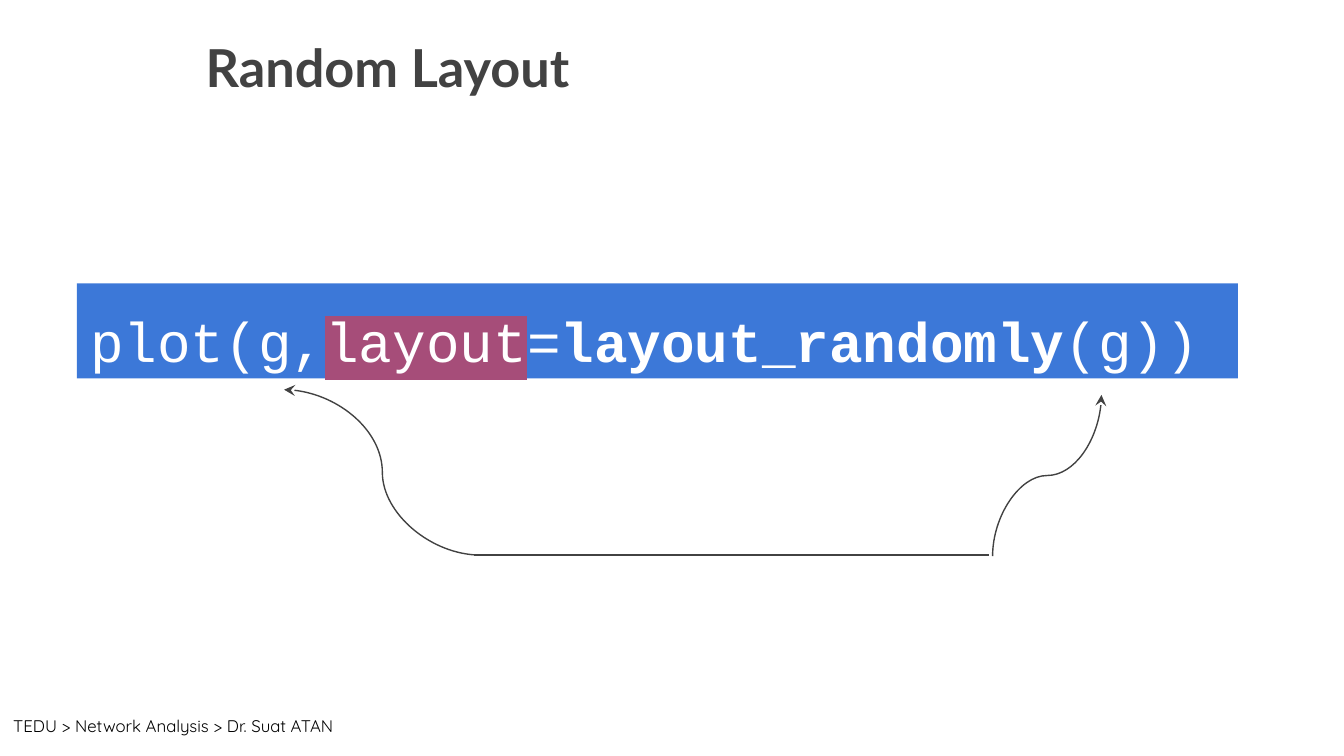
from dataclasses import dataclass

from lxml.etree import SubElement
from pptx import Presentation
from pptx.dml.color import RGBColor as RGB
from pptx.enum.shapes import MSO_CONNECTOR as LINK, MSO_SHAPE as SHAPE
from pptx.enum.text import MSO_ANCHOR as ANCHOR, PP_ALIGN as ALIGN
from pptx.oxml import parse_xml
from pptx.oxml.ns import nsdecls, qn
from pptx.util import Pt


@dataclass(frozen=True)
class Theme:
    ink: str = "424242"
    footer: str = "000000"
    code_bar: str = "3C78D8"
    code: str = "FFFFFF"
    highlight: str = "A64D79"
    title_size: float = 28
    code_size: float = 30
    footer_size: float = 9
    line_width: float = 0.75


THEME = Theme()


def write(paragraph, text, *, font, size, color, bold=False, highlight=None):
    """Append one formatted run to the paragraph."""
    run = paragraph.add_run()
    run.text = text
    run.font.name = font
    run.font.size = Pt(size)
    run.font.bold = bold
    run.font.color.rgb = RGB.from_string(color)
    if highlight:
        fill = run.font._element.find(qn("a:solidFill"))
        fill.addnext(parse_xml(
            f'<a:highlight {nsdecls("a")}><a:srgbClr val="{highlight}"/></a:highlight>'))


def prepare(frame):
    """Set the common insets and return the first paragraph, left aligned."""
    frame.word_wrap = True
    frame.vertical_anchor = ANCHOR.TOP
    frame.margin_left = frame.margin_right = Pt(7.2)
    frame.margin_top = frame.margin_bottom = Pt(7.2)
    paragraph = frame.paragraphs[0]
    paragraph.alignment = ALIGN.LEFT
    return paragraph


deck = Presentation()
deck.slide_width, deck.slide_height = Pt(720), Pt(405)
slide = deck.slides.add_slide(deck.slide_layouts.get_by_name("Title Only"))

# Footer
footer = slide.shapes.add_textbox(Pt(0), Pt(378), Pt(207), Pt(25))
write(prepare(footer.text_frame), "TEDU > Network Analysis > Dr. Suat ATAN",
      font="Quicksand", size=THEME.footer_size, color=THEME.footer)

# Title
title = slide.shapes.title
title.left, title.top, title.width, title.height = Pt(103), Pt(11.5), Pt(553.5), Pt(78.5)
write(prepare(title.text_frame), "Random Layout",
      font="Lato", size=THEME.title_size, color=THEME.ink, bold=True)

# Code bar
code_bar = slide.shapes.add_shape(SHAPE.RECTANGLE, Pt(41.2), Pt(151.8), Pt(622), Pt(51))
code_bar.shadow.inherit = False
code_bar.fill.solid()
code_bar.fill.fore_color.rgb = RGB.from_string(THEME.code_bar)
code_bar.line.fill.background()
code_line = prepare(code_bar.text_frame)
code_line.line_spacing = 1.15
for piece, emphasis in [
    ("plot(g,", {}),
    ("layout", {"highlight": THEME.highlight}),
    ("=", {}),
    ("layout_randomly", {"bold": True}),
    ("(g))", {}),
]:
    write(code_line, piece, font="Courier New", size=THEME.code_size,
          color=THEME.code, **emphasis)

# Arrows joining both uses of g: kind, start, end, quarter turns, arrowhead
for kind, start, end, turns, arrowhead in [
    (LINK.CURVE, (152.2, 208.8), (257.5, 297.4), 0, "headEnd"),
    (LINK.STRAIGHT, (254.2, 297.4), (530, 297.4), 0, None),
    (LINK.CURVE, (517.7, 225.6), (604.1, 283.9), 3, "tailEnd"),
]:
    link = slide.shapes.add_connector(kind, *map(Pt, start + end))
    link.line.width = Pt(THEME.line_width)
    link.line.color.rgb = RGB.from_string(THEME.ink)
    properties = link._element.spPr
    SubElement(properties, qn("a:effectLst"))
    if turns:
        properties.find(qn("a:xfrm")).set("rot", str(turns * 90 * 60000))
    if arrowhead:
        SubElement(properties.find(qn("a:ln")), qn(f"a:{arrowhead}"), type="stealth")

deck.save("out.pptx")
